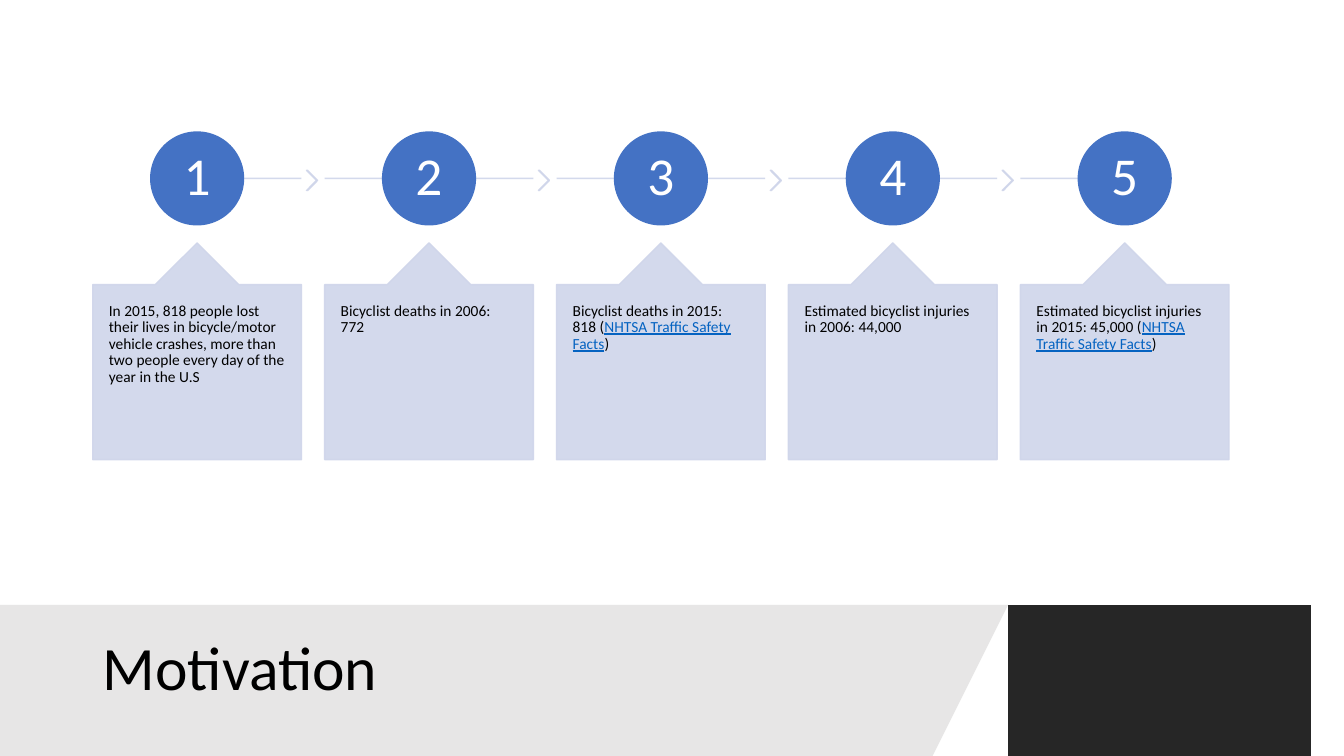
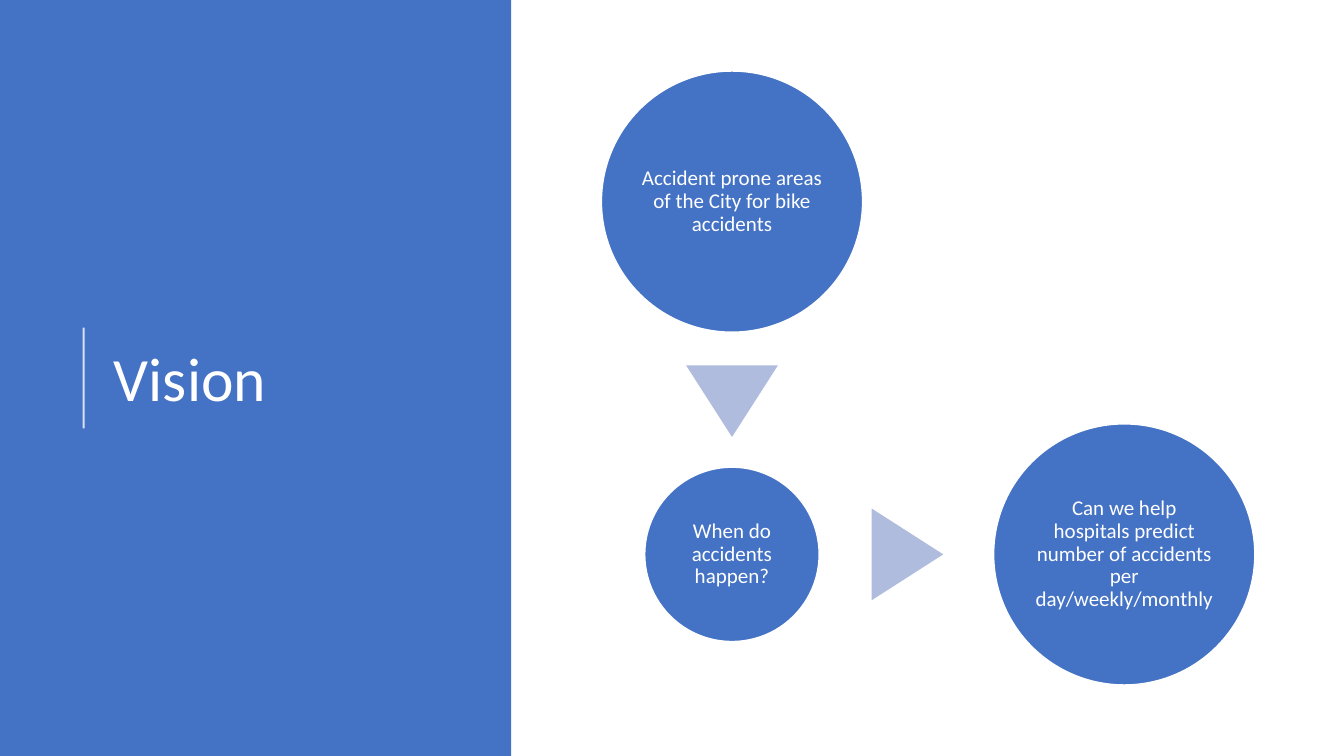
import pptx
import pptx.dml.color
import pptx.enum.shapes
import pptx.enum.text
import pptx.oxml.ns
import pptx.util
from lxml import etree
from pptx.util import Inches

FONT = "Calibri"
BLUE = "4472C4"
PALE_BLUE = "CFD5EA"
ARROW_BLUE = "B0BCDE"
LINK_BLUE = "0563C1"
DARK = "262626"
GREY = "E7E6E6"
BLACK = "000000"
WHITE = "FFFFFF"

SHAPES = pptx.enum.shapes.MSO_SHAPE
ALIGN = pptx.enum.text.PP_ALIGN
ANCHOR = pptx.enum.text.MSO_ANCHOR

SOURCE = "NHTSA Traffic Safety Facts"
FACTS = [
    ["In 2015, 818 people lost their lives in bicycle/motor vehicle crashes, "
     "more than two people every day of the year in the U.S"],
    ["Bicyclist deaths in 2006: 772"],
    ["Bicyclist deaths in 2015: 818 (", SOURCE, ")"],
    ["Estimated bicyclist injuries in 2006: 44,000"],
    ["Estimated bicyclist injuries in 2015: 45,000 (", SOURCE, ")"],
]
FACT_LEFT = 0.92
FACT_PITCH = 2.3
FACT_WIDTH = 2.07
TIMELINE_Y = 1.77


def rgb(value):
    return pptx.dml.color.RGBColor.from_string(value)


def set_opacity(shape, percent):
    """Apply one opacity to every colour of the shape's fill and line."""
    for color in shape.element.spPr.iter(pptx.oxml.ns.qn("a:srgbClr")):
        alpha = etree.SubElement(color, pptx.oxml.ns.qn("a:alpha"))
        alpha.set("val", str(percent * 1000))


def paint(shape, fill, line=None):
    shape.shadow.inherit = False
    shape.fill.solid()
    shape.fill.fore_color.rgb = rgb(fill)
    if line:
        shape.line.color.rgb = rgb(line)
        shape.line.width = pptx.util.Pt(1)
    else:
        shape.line.fill.background()


def add_shape(slide, kind, left, top, width, height, fill, line=None):
    shape = slide.shapes.add_shape(
        kind, Inches(left), Inches(top), Inches(width), Inches(height))
    paint(shape, fill, line)
    return shape


def add_band(slide, points, fill):
    """Draw a filled polygon through points given in inches."""
    builder = slide.shapes.build_freeform(*points[0], scale=Inches(1))
    builder.add_line_segments(points[1:], close=True)
    paint(builder.convert_to_shape(), fill)


def add_line(slide, start, end, color, width, opacity):
    line = slide.shapes.add_connector(
        pptx.enum.shapes.MSO_CONNECTOR.STRAIGHT,
        *(Inches(value) for value in (*start, *end)))
    line.line.color.rgb = rgb(color)
    line.line.width = pptx.util.Pt(width)
    set_opacity(line, opacity)
    etree.SubElement(line.element.spPr, pptx.oxml.ns.qn("a:effectLst"))


def write(shape, spans, size, color, align, anchor, insets):
    """Fill the shape with one paragraph; the source span looks like a link."""
    frame = shape.text_frame
    frame.word_wrap = True
    frame.auto_size = pptx.enum.text.MSO_AUTO_SIZE.NONE
    frame.vertical_anchor = anchor
    frame.margin_left = frame.margin_right = Inches(insets[0])
    frame.margin_top = frame.margin_bottom = Inches(insets[1])
    para = frame.paragraphs[0]
    para.alignment = align
    para.line_spacing = 0.9
    for text in spans:
        span = para.add_run()
        span.text = text
        span.font.name = FONT
        span.font.size = pptx.util.Pt(size)
        span.font.color.rgb = rgb(color)
        if text == SOURCE:
            span.font.underline = True
            span.font.color.rgb = rgb(LINK_BLUE)


def add_title(slide, text, left, top, width, height, color):
    """Place the title placeholder in front of what is already drawn."""
    title = slide.shapes.title
    title.left, title.top = Inches(left), Inches(top)
    title.width, title.height = Inches(width), Inches(height)
    write(title, [text], 44, color, ALIGN.LEFT, ANCHOR.MIDDLE, (0.1, 0.05))
    slide.shapes.element.append(title.element)


def add_circle(slide, center, diameter, text, size, line, inset):
    left, top = (value - diameter / 2 for value in center)
    circle = add_shape(slide, SHAPES.OVAL, left, top, diameter, diameter, BLUE, line)
    write(circle, [text], size, WHITE, ALIGN.CENTER, ANCHOR.MIDDLE, (inset, inset))


def add_triangle(slide, center, rotation):
    width, height = 0.91, 0.71
    triangle = add_shape(
        slide, SHAPES.ISOSCELES_TRIANGLE, center[0] - width / 2,
        center[1] - height / 2, width, height, ARROW_BLUE)
    triangle.rotation = rotation


def add_fact(slide, index, spans):
    """Draw one step: timeline piece, numbered circle and callout."""
    left = FACT_LEFT + index * FACT_PITCH
    right = left + FACT_WIDTH
    center = left + FACT_WIDTH / 2
    is_first = index == 0
    is_last = index == len(FACTS) - 1

    add_line(slide, (center if is_first else left, TIMELINE_Y),
             (center if is_last else right, TIMELINE_Y), PALE_BLUE, 1, 90)
    if not is_last:
        chevron = add_shape(slide, SHAPES.CHEVRON, right + 0.05, 1.69,
                            0.11, 0.2, PALE_BLUE, PALE_BLUE)
        chevron.adjustments[0] = 0.9
        set_opacity(chevron, 90)
    add_circle(slide, (center, TIMELINE_Y), 0.92, str(index + 1), 38, BLUE, 0.04)

    callout = add_shape(slide, SHAPES.UP_ARROW_CALLOUT, left, 2.41,
                        FACT_WIDTH, 2.15, PALE_BLUE, PALE_BLUE)
    for position, value in enumerate((0.5, 0.2, 0.2, 1)):
        callout.adjustments[position] = value
    set_opacity(callout, 90)
    write(callout, spans, 11, BLACK, ALIGN.LEFT, ANCHOR.TOP, (0.16, 0.18))


def build_motivation(slide):
    add_band(slide, [(10.34, 5.87), (13.33, 5.87), (13.33, 7.5), (9.58, 7.5)], DARK)
    add_band(slide, [(0, 5.87), (10.02, 5.87), (9.26, 7.5), (0, 7.5)], GREY)
    add_title(slide, "Motivation", 0.92, 6.05, 8.44, 1.2, BLACK)
    for index, spans in enumerate(FACTS):
        add_fact(slide, index, spans)


def build_vision(slide):
    add_shape(slide, SHAPES.RECTANGLE, 0, 0, 5.07, 7.5, BLUE)
    add_line(slide, (0.83, 4.25), (0.83, 3.25), WHITE, 1.5, 80)
    add_title(slide, "Vision", 1.03, 0.78, 3.69, 6.02, WHITE)

    column_x, row_y = 7.26, 5.5
    questions = [
        ((column_x, 2), 2.59, "Accident prone areas of the City for bike accidents"),
        ((column_x, row_y), 1.73, "When do accidents happen?"),
        ((11.15, row_y), 2.59,
         "Can we help hospitals predict number of accidents per day/weekly/monthly"),
    ]
    for center, diameter, text in questions:
        add_circle(slide, center, diameter, text, 15, WHITE, 0.02)
    add_triangle(slide, (column_x, 3.98), 180)
    add_triangle(slide, (9, row_y), 90)


def main():
    deck = pptx.Presentation()
    deck.slide_width, deck.slide_height = Inches(13.33), Inches(7.5)
    title_only = deck.slide_layouts[5]
    for build in (build_motivation, build_vision):
        build(deck.slides.add_slide(title_only))
    deck.save("out.pptx")


if __name__ == "__main__":
    main()
